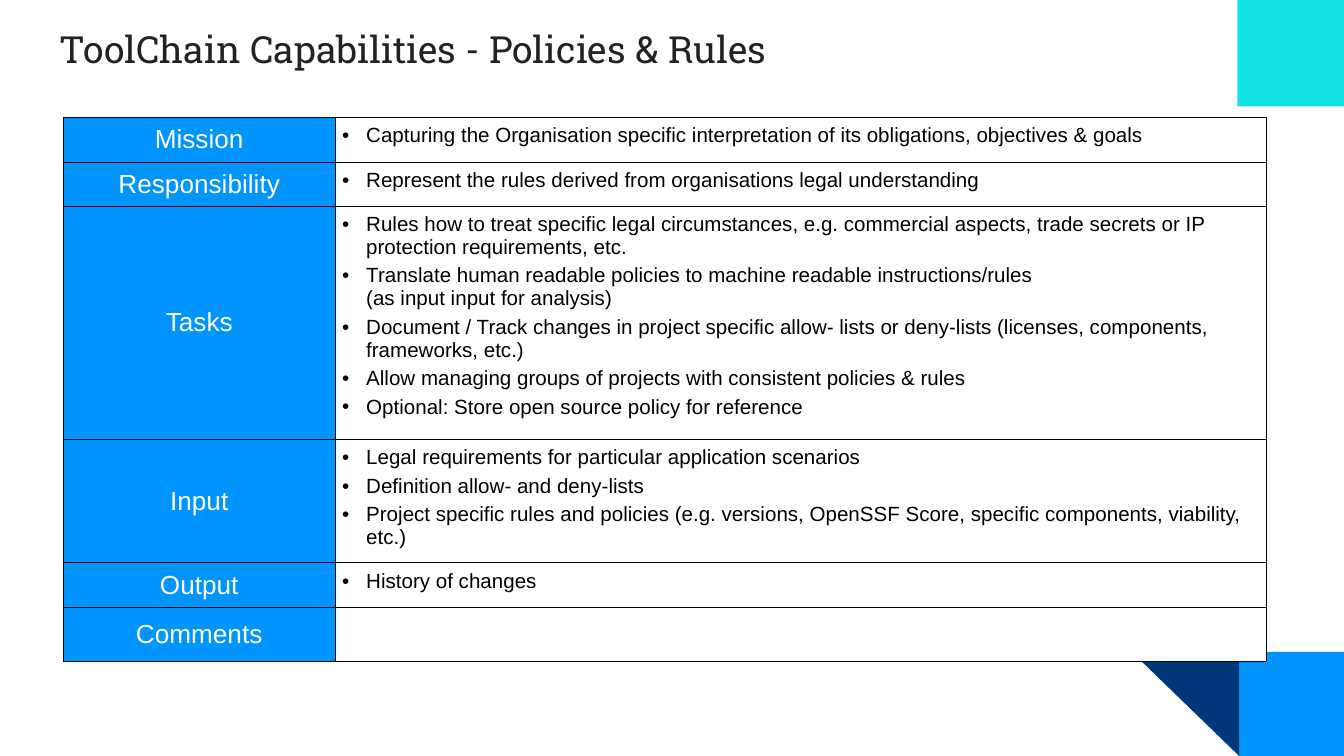
from dataclasses import dataclass

from lxml.etree import SubElement
from pptx import Presentation
from pptx.dml.color import RGBColor
from pptx.enum.shapes import MSO_SHAPE
from pptx.enum.text import MSO_ANCHOR, PP_ALIGN
from pptx.oxml.ns import qn
from pptx.util import Inches, Pt


@dataclass(frozen=True)
class Theme:
    blue: str = "0094FF"
    navy: str = "003778"
    cyan: str = "12E2E2"
    white: str = "FFFFFF"
    black: str = "000000"
    heading: str = "222222"
    heading_font: str = "Roboto Slab"
    body_font: str = "Arial"
    heading_size: int = 20
    label_size: int = 14
    body_size: int = 11
    space: int = 3
    border: float = 0.5


theme = Theme()

TABLE_ROWS = [  # label, height in grid units, bullet points
    ("Mission", 3.3, [
        "Capturing the Organisation specific interpretation of its obligations, objectives & goals"]),
    ("Responsibility", 3.3, [
        "Represent the rules derived from organisations legal understanding"]),
    ("Tasks", 16.3, [
        "Rules how to treat specific legal circumstances, e.g. commercial aspects, "
        "trade secrets or IP protection requirements, etc.",
        "Translate human readable policies to machine readable instructions/rules \n"
        "(as input input for analysis)",
        "Document / Track changes in project specific allow- lists or deny-lists "
        "(licenses, components, frameworks, etc.)",
        "Allow managing groups of projects with consistent policies & rules",
        "Optional: Store open source policy for reference"]),
    ("Input", 6.9, [
        "Legal requirements for particular application scenarios",
        "Definition allow- and deny-lists",
        "Project specific rules and policies (e.g. versions, OpenSSF Score, "
        "specific components, viability, etc.)"]),
    ("Output", 3.3, ["History of changes"]),
    ("Comments", 3.8, []),
]

prs = Presentation()
prs.slide_width = Inches(10)
prs.slide_height = prs.slide_width * 9 // 16
s = prs.slides.add_slide(prs.slide_layouts[6])
unit = prs.slide_width // 100  # square grid, 100 columns wide


def add_text(p, text, font, size, color):
    """Add one run per line, with line breaks and the paragraph end in the same size."""
    for i, line in enumerate(text.split("\n")):
        if i:
            p.add_line_break()
            SubElement(p._p[-1], qn("a:rPr"), sz=str(size * 100))
        r = p.add_run()
        r.text = line
        r.font.name, r.font.size = font, Pt(size)
        r.font.color.rgb = RGBColor.from_string(color)
    SubElement(p._p, qn("a:endParaRPr"), sz=str(size * 100))


def style_cell(cell, fill, margin):
    """Set the borders, fill and equal margins of a table cell."""
    tcPr = cell._tc.get_or_add_tcPr()
    for side in ("lnL", "lnR", "lnT", "lnB"):
        ln = SubElement(tcPr, qn(f"a:{side}"), w=str(Pt(theme.border)))
        SubElement(SubElement(ln, qn("a:solidFill")), qn("a:srgbClr"), val=theme.black)
    cell.fill.solid()
    cell.fill.fore_color.rgb = RGBColor.from_string(fill)
    cell.margin_left = cell.margin_right = margin
    cell.margin_top = cell.margin_bottom = margin


# Corner decoration
for preset, left, top, width, height, rotation, color in [
    (MSO_SHAPE.RECTANGLE, 92.2, 48.5, 7.8, 7.75, 0, theme.blue),
    (MSO_SHAPE.RIGHT_TRIANGLE, 84.2, 48.5, 8, 7.75, 180, theme.navy),
    (MSO_SHAPE.RECTANGLE, 92.08, 0, 7.92, 7.92, 0, theme.cyan),
]:
    sp = s.shapes.add_shape(preset, *(int(v * unit) for v in (left, top, width, height)))
    sp.rotation = rotation
    sp.shadow.inherit = False
    sp.fill.solid()
    sp.fill.fore_color.rgb = RGBColor.from_string(color)
    sp.line.fill.background()

# Title
tf = s.shapes.add_textbox(*(int(v * unit) for v in (3.45, 0.95, 93.2, 6.6))).text_frame
tf.word_wrap = True
tf.margin_left = tf.margin_right = tf.margin_top = tf.margin_bottom = unit
add_text(tf.paragraphs[0], "ToolChain Capabilities - Policies & Rules",
         theme.heading_font, theme.heading_size, theme.heading)

# Capability table
col_widths = (20.25, 69.25)
total_height = sum(height for _, height, _ in TABLE_ROWS)
table = s.shapes.add_table(
    len(TABLE_ROWS), len(col_widths),
    *(int(v * unit) for v in (4.7, 8.75, sum(col_widths), total_height))).table
for column, width in zip(table.columns, col_widths):
    column.width = int(width * unit)

for row, (label, height, points) in zip(table.rows, TABLE_ROWS):
    row.height = int(height * unit)
    label_cell, body_cell = row.cells
    style_cell(label_cell, theme.blue, 0)
    style_cell(body_cell, theme.white, unit // 2)

    label_cell.vertical_anchor = MSO_ANCHOR.MIDDLE
    p = label_cell.text_frame.paragraphs[0]
    p.alignment = PP_ALIGN.CENTER
    add_text(p, label, theme.body_font, theme.label_size, theme.white)

    tf = body_cell.text_frame
    for i, point in enumerate(points):
        p = tf.add_paragraph() if i else tf.paragraphs[0]
        pPr = p._p.get_or_add_pPr()
        indent = int(1.8 * unit)
        pPr.set("marL", str(indent))
        pPr.set("indent", str(-indent))
        if i:
            p.space_before = Pt(theme.space)
        bullet_color = SubElement(pPr, qn("a:buClr"))
        SubElement(bullet_color, qn("a:srgbClr"), val=theme.black)
        SubElement(pPr, qn("a:buFont"), typeface=theme.body_font)
        SubElement(pPr, qn("a:buChar"), char="•")
        add_text(p, point, theme.body_font, theme.body_size, theme.black)

prs.save("out.pptx")
